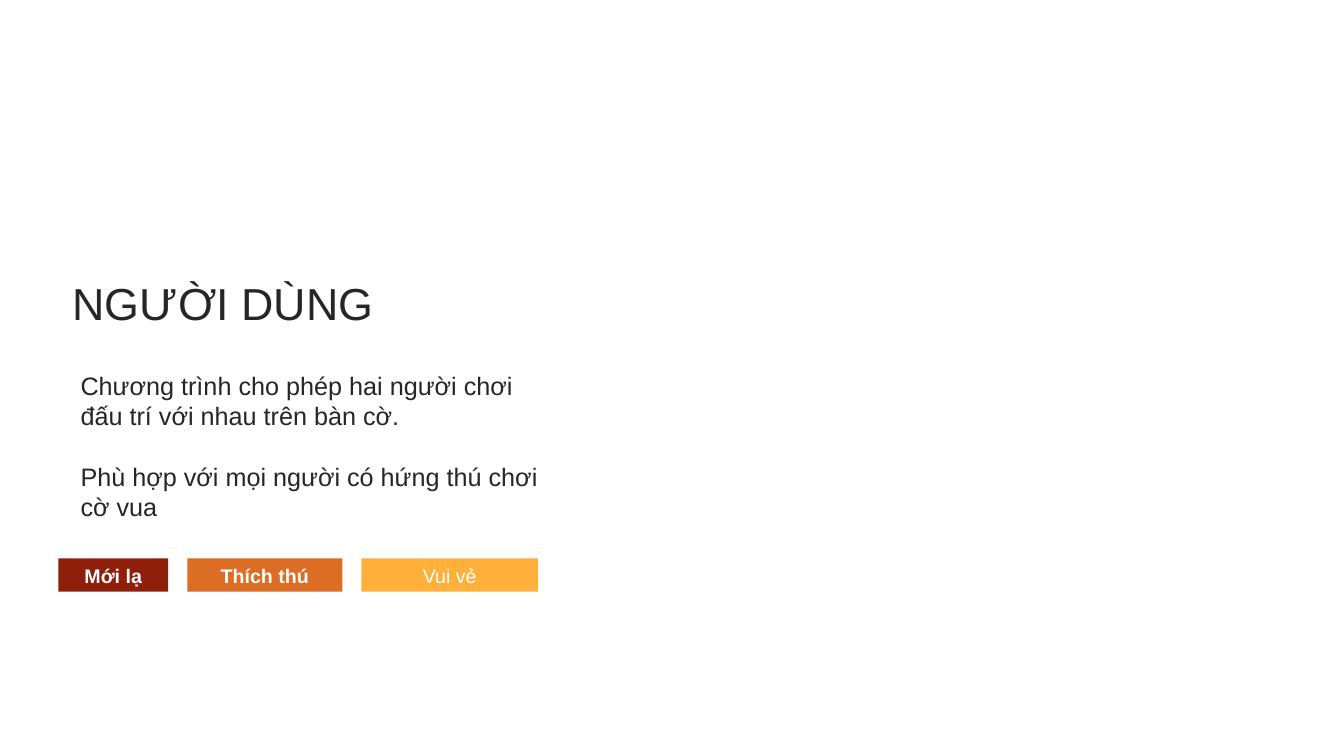
from lxml import etree
from pptx import Presentation
from pptx.dml.color import RGBColor
from pptx.enum.shapes import MSO_SHAPE
from pptx.enum.text import MSO_ANCHOR, MSO_AUTO_SIZE, PP_ALIGN
from pptx.oxml.ns import qn
from pptx.util import Cm, Pt

INK = RGBColor(0x26, 0x26, 0x26)
WHITE = RGBColor(0xFF, 0xFF, 0xFF)
DARK_RED = RGBColor(0x8E, 0x1F, 0x0B)
ORANGE = RGBColor(0xDB, 0x6D, 0x25)
AMBER = RGBColor(0xFF, 0xB0, 0x3B)
RECTANGLE = MSO_SHAPE.RECTANGLE
TOP, MIDDLE = MSO_ANCHOR.TOP, MSO_ANCHOR.MIDDLE
LEFT, CENTER = PP_ALIGN.LEFT, PP_ALIGN.CENTER
NO_AUTOFIT = MSO_AUTO_SIZE.NONE

HEADING = "NGƯỜI DÙNG"
DESCRIPTION = [
    "Chương trình cho phép hai người chơi đấu trí với nhau trên bàn cờ.",
    "Phù hợp với mọi người có hứng thú chơi cờ vua",
]
# label, width in cm, fill, bold
FEELINGS = [
    ("Mới lạ", 2.77, DARK_RED, True),
    ("Thích thú", 3.91, ORANGE, True),
    ("Vui vẻ", 4.45, AMBER, False),
]
TAG_LEFT, TAG_TOP, TAG_HEIGHT, TAG_GAP = 1.47, 14.07, 0.84, 0.48

HEADING_BOX = dict(left=Cm(1.73), top=Cm(6.93), width=Cm(13.59), height=Cm(1.37))
HEADING_FRAME = dict(margin_left=Cm(0.1), margin_right=Cm(0.1), margin_top=0,
                     margin_bottom=0, vertical_anchor=MIDDLE,
                     word_wrap=True, auto_size=NO_AUTOFIT)
DESCRIPTION_BOX = dict(left=Cm(1.78), top=Cm(9.2), width=Cm(12.29), height=Cm(4.11))
DESCRIPTION_FRAME = dict(margin_left=Cm(0.25), margin_right=Cm(0.25),
                         margin_top=Cm(0.13), margin_bottom=Cm(0.13),
                         vertical_anchor=TOP, word_wrap=True, auto_size=NO_AUTOFIT)
TAG_FRAME = dict(margin_left=Cm(0.25), margin_right=Cm(0.25), margin_top=Cm(0.25),
                 margin_bottom=Cm(0.13), vertical_anchor=MIDDLE, word_wrap=True)
TAG_PARAGRAPH = dict(alignment=CENTER, line_spacing=0.9, space_before=Pt(10))


def set_all(target, values):
    for name, value in values.items():
        setattr(target, name, value)


def write(paragraph, text, size, color, bold=False):
    run = paragraph.add_run()
    run.text = text
    set_all(run.font, dict(name="Arial", size=Pt(size), bold=bold))
    run.font.color.rgb = color


def remove_bullet(paragraph):
    properties = paragraph._p.get_or_add_pPr()
    properties.set("marL", "0")
    properties.set("indent", "0")
    etree.SubElement(properties, qn("a:buNone"))


def add_heading(slide):
    heading = slide.shapes.title
    set_all(heading, HEADING_BOX)
    set_all(heading.text_frame, HEADING_FRAME)
    paragraph = heading.text_frame.paragraphs[0]
    paragraph.alignment = LEFT
    write(paragraph, HEADING, 32, INK)


def add_description(slide):
    description = slide.placeholders[1]
    set_all(description, DESCRIPTION_BOX)
    frame = description.text_frame
    set_all(frame, DESCRIPTION_FRAME)
    for index, sentence in enumerate(DESCRIPTION):
        paragraph = frame.add_paragraph() if index else frame.paragraphs[0]
        paragraph.space_before = Pt(21.5 if index else 0)
        remove_bullet(paragraph)
        write(paragraph, sentence, 18, INK)


def add_feeling_tags(slide):
    left = TAG_LEFT
    for label, width, fill, bold in FEELINGS:
        tag = slide.shapes.add_shape(RECTANGLE, Cm(left), Cm(TAG_TOP),
                                     Cm(width), Cm(TAG_HEIGHT))
        tag.shadow.inherit = False
        tag.fill.solid()
        tag.fill.fore_color.rgb = fill
        tag.line.fill.background()
        set_all(tag.text_frame, TAG_FRAME)
        paragraph = tag.text_frame.paragraphs[0]
        set_all(paragraph, TAG_PARAGRAPH)
        write(paragraph, label, 14, WHITE, bold)
        left += width + TAG_GAP


def main():
    deck = Presentation()
    deck.slide_width, deck.slide_height = Cm(33.87), Cm(19.05)
    slide = deck.slides.add_slide(deck.slide_layouts[1])
    add_heading(slide)
    add_description(slide)
    add_feeling_tags(slide)
    deck.save("out.pptx")


if __name__ == "__main__":
    main()
